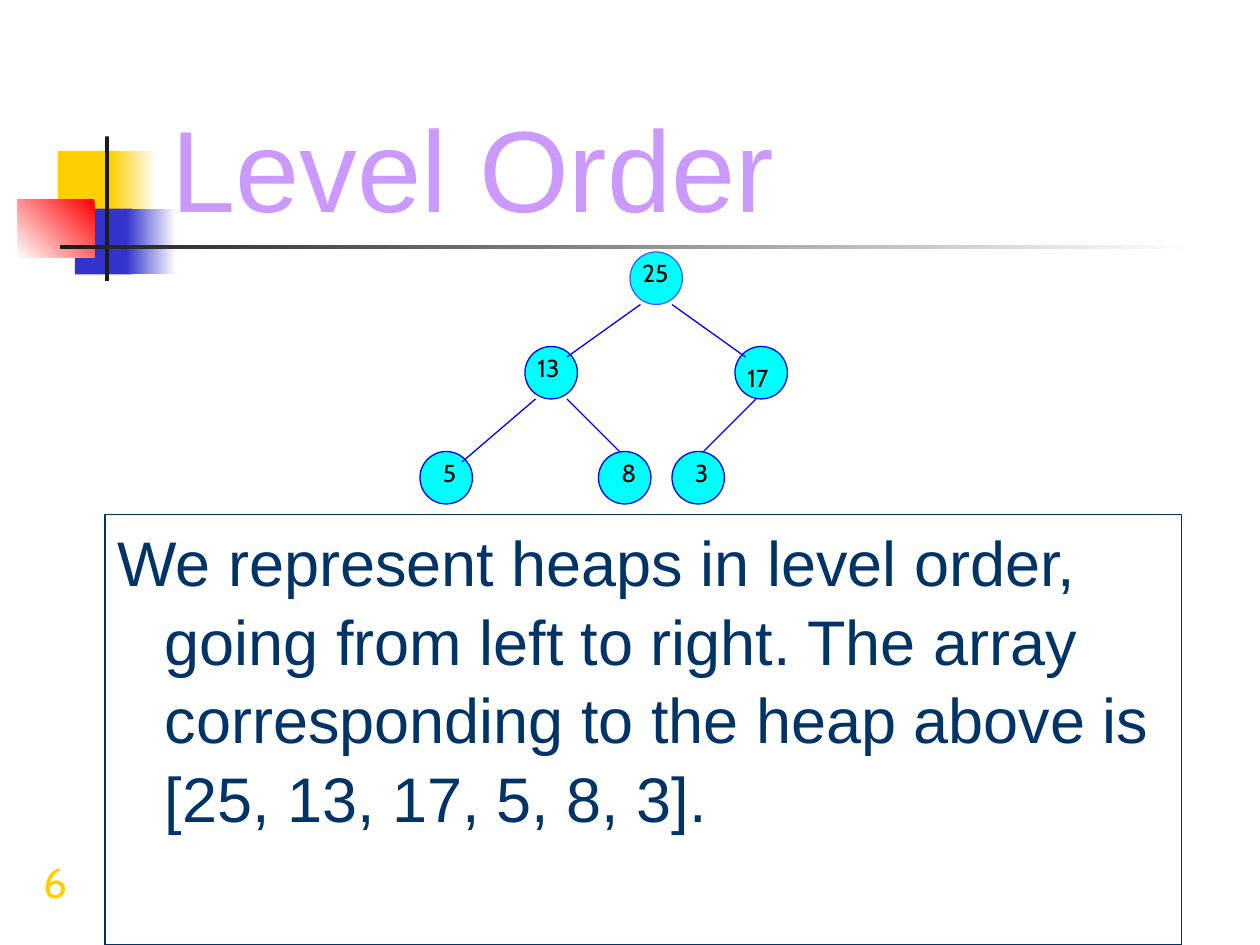
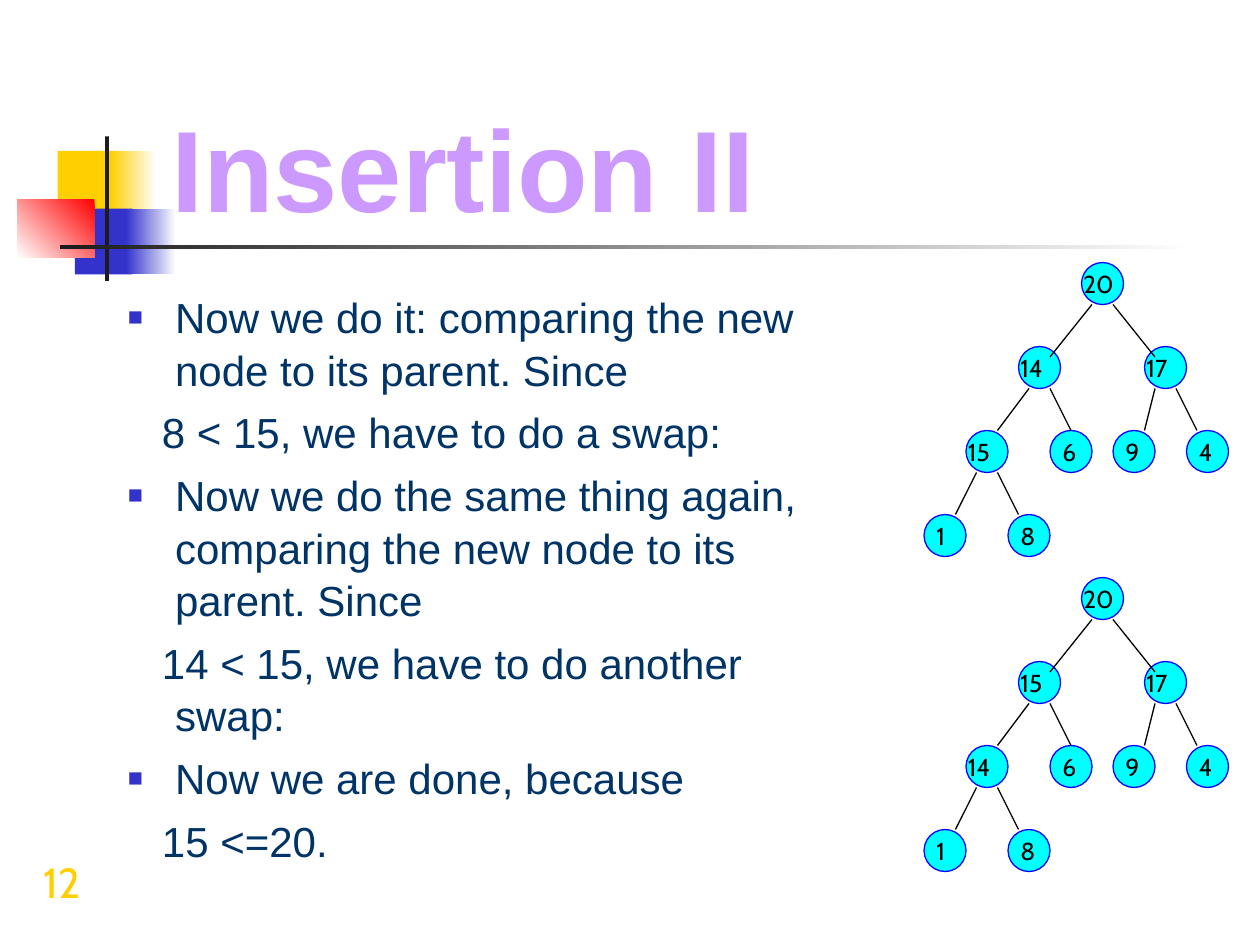
from dataclasses import dataclass
from lxml import etree
from pptx import Presentation
from pptx.dml.color import RGBColor
from pptx.enum.shapes import MSO_CONNECTOR, MSO_SHAPE
from pptx.enum.text import MSO_ANCHOR
from pptx.oxml.ns import qn
from pptx.util import Emu, Pt

RECT, OVAL = MSO_SHAPE.RECTANGLE, MSO_SHAPE.OVAL
STRAIGHT = MSO_CONNECTOR.STRAIGHT
TOP, BOTTOM = MSO_ANCHOR.TOP, MSO_ANCHOR.BOTTOM
PX = 9525


@dataclass(frozen=True)
class Theme:
    yellow: str = "FFCF01"
    blue: str = "3333CC"
    red: str = "FF0000"
    white: str = "FFFFFF"
    dark: str = "1C1C1C"
    title: str = "CC99FF"
    body: str = "003366"
    node: str = "00FFFF"
    outline: str = "0000FF"
    root_outline: str = "3366FF"
    black: str = "000000"
    text_font: str = "Arial"
    number_font: str = "Cabin"
    title_size: int = 66
    page_size: int = 24
    label_size: int = 14
    line_width: float = 0.75
    line_spacing: float = 1.04


T = Theme()

# box, colours from start to end, angle
BAND = [
    ((44, 115, 46, 50), (T.yellow,), 0),
    ((84, 115, 35, 50), (T.white, T.yellow), 180),
    ((57, 159, 44, 50), (T.blue,), 0),
    ((96, 159, 38, 50), (T.white, T.blue), 180),
    ((13, 152, 59, 44), (T.red, T.white), 225),
    ((80, 104, 3, 110), (T.dark,), 0),
    ((46, 187, 864, 3), (T.white, T.dark), 180),
]
TITLE_BOX = (121, 64, 818, 120)
LABEL_HEIGHT = 33
HANGING = 36
CONTINUED = 10

# slots in level order: x, label (dx, dy, width), edge (start dx, end dx, end dy)
SMALL_HEAP = {
    "size": 40,
    "levels": (192, 264, 344),
    "root_outline": T.root_outline,
    "edge_color": T.outline,
    "slots": [
        (480, (0, 0, 48), None),
        (400, (0, 0, 48), (8, 32, 8)),
        (560, (0, 8, 40), (32, 8, 8)),
        (320, (8, 0, 32), (8, 32, 8)),
        (456, (8, 0, 40), (32, 16, 0)),
        (512, (8, 0, 32), (16, 24, 0)),
    ],
}
LARGE_HEAP = {
    "size": 32,
    "levels": (200, 264, 328, 392),
    "root_outline": T.outline,
    "edge_color": T.black,
    "slots": [
        (824, (-8, 0, 48), None),
        (776, (-8, 0, 56), (8, 24, 8)),
        (872, (-8, 0, 56), (24, 8, 8)),
        (736, (-8, 0, 40), (8, 24, 0)),
        (800, (0, 0, 48), (24, 16, 0)),
        (848, (0, 0, 40), (8, 24, 0)),
        (904, (0, 0, 40), (24, 8, 0)),
        (704, (0, 0, 32), (8, 24, 0)),
        (768, (0, 0, 48), (24, 8, 0)),
    ],
}

SLIDES = [
    {
        "title": "Level Order", "bold": False, "page": "6", "page_width": 32,
        "body_box": (80, 392, 820, 328), "body_size": 36, "framed": True,
        "body": [
            (False, HANGING, "We represent heaps in level order, going from left to right. "
             "The array corresponding to the heap above is [25, 13, 17, 5, 8, 3]."),
        ],
        "heaps": [(SMALL_HEAP, 0, (25, 13, 17, 5, 8, 3))],
    },
    {
        "title": "Insertion II", "bold": True, "page": "12", "page_width": 64,
        "body_box": (88, 216, 576, 472), "body_size": 24, "framed": False,
        "body": [
            (True, HANGING, "Now we do it: comparing the new node to its parent. Since"),
            (False, CONTINUED, "8 < 15, we have to do a swap:"),
            (True, HANGING, "Now we do the same thing again, comparing the new node "
             "to its parent. Since"),
            (False, CONTINUED, "14 < 15, we have to do another swap:"),
            (True, HANGING, "Now we are done, because"),
            (False, CONTINUED, "15 <=20."),
        ],
        "heaps": [
            (LARGE_HEAP, 0, (20, 14, 17, 15, 6, 9, 4, 1, 8)),
            (LARGE_HEAP, 240, (20, 15, 17, 14, 6, 9, 4, 1, 8)),
        ],
    },
]


def rgb(color):
    return RGBColor.from_string(color)


def emu(values):
    return [Emu(v * PX) for v in values]


def set_line(line, color):
    line.color.rgb = rgb(color)
    line.width = Pt(T.line_width)


def add_filled(s, kind, box, colors, angle=0, outline=None):
    sp = s.shapes.add_shape(kind, *emu(box))
    sp.shadow.inherit = False
    if len(colors) == 1:
        sp.fill.solid()
        sp.fill.fore_color.rgb = rgb(colors[0])
    else:
        sp.fill.gradient()
        sp.fill.gradient_angle = angle
        for stop, color in zip(sp.fill.gradient_stops, colors):
            stop.color.rgb = rgb(color)
    if outline:
        set_line(sp.line, outline)
    else:
        sp.line.fill.background()


def add_edge(s, start, end, color):
    line = s.shapes.add_connector(STRAIGHT, *emu(start + end))
    set_line(line.line, color)
    etree.SubElement(line._element.spPr, qn("a:effectLst"))


def add_box(s, box, anchor=TOP):
    sp = s.shapes.add_textbox(*emu(box))
    tf = sp.text_frame
    tf.word_wrap = True
    tf.vertical_anchor = anchor
    return sp


def add_run(p, text, font, size, color, bold=False):
    r = p.add_run()
    r.text = text
    r.font.name = font
    r.font.size = Pt(size)
    r.font.bold = bold
    r.font.color.rgb = rgb(color)


def add_line_of_text(s, box, *style, anchor=TOP):
    add_run(add_box(s, box, anchor).text_frame.paragraphs[0], *style)


def add_bullet(p):
    pPr = p._p.get_or_add_pPr()
    color = etree.SubElement(pPr, qn("a:buClr"))
    etree.SubElement(color, qn("a:srgbClr"), val=T.blue)
    etree.SubElement(pPr, qn("a:buSzPct"), val="60000")
    etree.SubElement(pPr, qn("a:buFont"), typeface=T.text_font)
    etree.SubElement(pPr, qn("a:buChar"), char="■")


def add_body(s, content):
    sp = add_box(s, content["body_box"])
    if content["framed"]:
        set_line(sp.line, T.body)
    tf = sp.text_frame
    for i, (bulleted, outdent, text) in enumerate(content["body"]):
        p = tf.add_paragraph() if i else tf.paragraphs[0]
        pPr = p._p.get_or_add_pPr()
        pPr.set("marL", str(HANGING * PX))
        pPr.set("indent", str(-outdent * PX))
        if bulleted:
            add_bullet(p)
        p.line_spacing = T.line_spacing
        if i:
            p.space_before = Pt(6)
        add_run(p, text, T.text_font, content["body_size"], T.body)


def add_heap(s, heap, drop, values):
    size, slots = heap["size"], heap["slots"]
    spots = [(slot[0], heap["levels"][(i + 1).bit_length() - 1] + drop)
             for i, slot in enumerate(slots)]
    for i, spot in enumerate(spots):
        outline = T.outline if i else heap["root_outline"]
        add_filled(s, OVAL, spot + (size, size), (T.node,), outline=outline)
    for i in range(1, len(slots)):
        parent_x, parent_y = spots[(i - 1) // 2]
        x, y = spots[i]
        start_dx, end_dx, end_dy = slots[i][2]
        add_edge(s, (parent_x + start_dx, parent_y + size),
                 (x + end_dx, y + end_dy), heap["edge_color"])
    for value, (x, y), (_, (dx, dy, width), _) in zip(values, spots, slots):
        add_line_of_text(s, (x + dx, y + dy, width, LABEL_HEIGHT), str(value),
                         T.number_font, T.label_size, T.black)


def add_slide(prs, content):
    s = prs.slides.add_slide(prs.slide_layouts[6])
    for box, colors, angle in BAND:
        add_filled(s, RECT, box, colors, angle)
    add_line_of_text(s, TITLE_BOX, content["title"], T.text_font, T.title_size,
                     T.title, content["bold"], anchor=BOTTOM)
    add_body(s, content)
    for heap in content["heaps"]:
        add_heap(s, *heap)
    add_line_of_text(s, (24, 648, content["page_width"], 48), content["page"],
                     T.number_font, T.page_size, T.yellow)


def main():
    prs = Presentation()
    prs.slide_width, prs.slide_height = emu((960, 720))
    for content in SLIDES:
        add_slide(prs, content)
    prs.save("out.pptx")


if __name__ == "__main__":
    main()
